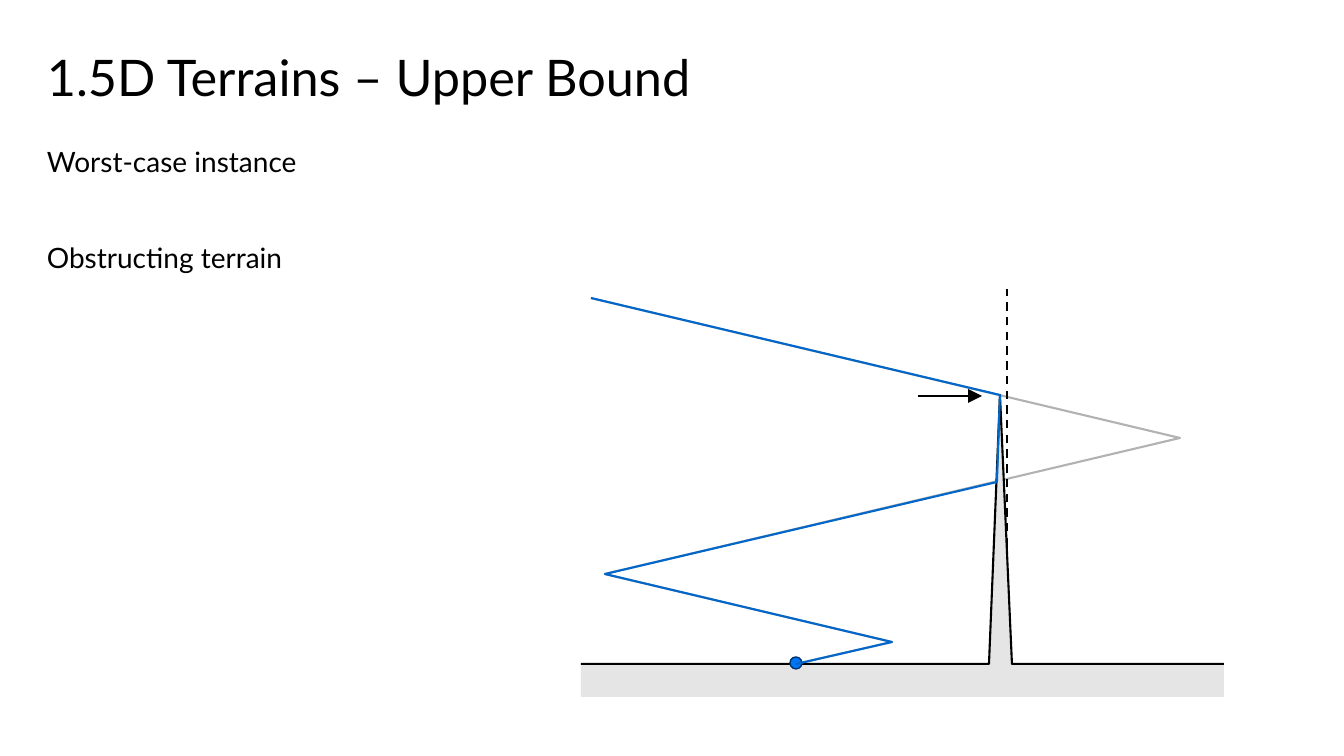
from lxml import etree
from pptx import Presentation
from pptx.dml.color import RGBColor
from pptx.enum.dml import MSO_LINE
from pptx.enum.shapes import MSO_CONNECTOR, MSO_SHAPE
from pptx.enum.text import MSO_ANCHOR
from pptx.oxml.ns import qn
from pptx.util import Pt

PX = 914400 / 100.8
STRAIGHT = MSO_CONNECTOR.STRAIGHT
OVAL = MSO_SHAPE.OVAL
DASH = MSO_LINE.DASH
TOP = MSO_ANCHOR.TOP
MIDDLE = MSO_ANCHOR.MIDDLE

BLACK = RGBColor(0x00, 0x00, 0x00)
GROUND = RGBColor(0xE5, 0xE5, 0xE5)
GREY = RGBColor(0xB2, 0xB2, 0xB2)
BLUE = RGBColor(0x00, 0x66, 0xCA)
DOT_BLUE = RGBColor(0x00, 0x75, 0xF6)
DARK_BLUE = RGBColor(0x00, 0x33, 0x6C)


def emu(*lengths):
    return [round(length * PX) for length in lengths]


class TerrainSlide:
    """Draws styled text and terrain figures on one slide, measured in px."""

    font = "Lato"
    line_width = 1.5

    def __init__(self, presentation):
        self.slide = presentation.slides.add_slide(presentation.slide_layouts[6])
        self.shapes = self.slide.shapes

    def text(self, box, lines, size, anchor=TOP, gap=0, spacing=1.0):
        frame = self.shapes.add_textbox(*emu(*box)).text_frame
        frame.word_wrap = True
        frame.vertical_anchor = anchor
        for index, line in enumerate(lines):
            paragraph = frame.add_paragraph() if index else frame.paragraphs[0]
            paragraph.line_spacing = spacing
            paragraph.space_before = Pt(gap if index else 0)
            run = paragraph.add_run()
            run.text = line
            run.font.name = self.font
            run.font.size = Pt(size)
            run.font.color.rgb = BLACK

    def paint(self, shape, fill=None, line=None, width=line_width):
        shape.shadow.inherit = False
        if fill is None:
            shape.fill.background()
        else:
            shape.fill.solid()
            shape.fill.fore_color.rgb = fill
        if line is None:
            shape.line.fill.background()
        else:
            shape.line.color.rgb = line
            shape.line.width = Pt(width)

    def outline(self, points, fill=None, line=None, close=False):
        builder = self.shapes.build_freeform(*points[0], scale=PX)
        builder.add_line_segments(points[1:], close=close)
        self.paint(builder.convert_to_shape(), fill, line)

    def dot(self, box, fill, line):
        self.paint(self.shapes.add_shape(OVAL, *emu(*box)), fill, line, 1)

    def connector(self, start, end, dash=None, arrow=False):
        connector = self.shapes.add_connector(STRAIGHT, *emu(*start, *end))
        connector.line.color.rgb = BLACK
        connector.line.width = Pt(self.line_width)
        if dash is not None:
            connector.line.dash_style = dash
        if arrow:
            head = etree.SubElement(connector.line._get_or_add_ln(), qn("a:tailEnd"))
            for key, value in (("type", "triangle"), ("w", "lg"), ("len", "lg")):
                head.set(key, value)
        etree.SubElement(connector._element.spPr, qn("a:effectLst"))


def main():
    presentation = Presentation()
    presentation.slide_width, presentation.slide_height = emu(1344, 756)
    slide = TerrainSlide(presentation)

    path_start = [(796, 664), (892, 642), (605, 574)]
    path_end = (591, 298)
    peak = (1000, 395)
    surface = [(581, 664), (989, 664), peak, (1012, 664), (1224, 664)]

    slide.outline(path_start + [(1180, 438), path_end], line=GREY)
    slide.connector((1007, 664), (1007, 289), dash=DASH)
    slide.outline(surface + [(1224, 697), (581, 697)], fill=GROUND, close=True)
    slide.outline(surface, line=BLACK)

    slide.text((37, 40, 1270, 80), ["1.5D Terrains – Upper Bound"], 36,
               anchor=MIDDLE, spacing=0.9)
    slide.text((37, 140, 1270, 576), ["Worst-case instance", "Obstructing terrain"], 20,
               gap=44)

    slide.dot((790, 657, 12, 12), DOT_BLUE, DARK_BLUE)
    slide.outline(path_start + [(997, 482), peak, path_end], line=BLUE)
    slide.connector((918, 396), (982, 396), arrow=True)

    presentation.save("out.pptx")


if __name__ == "__main__":
    main()
